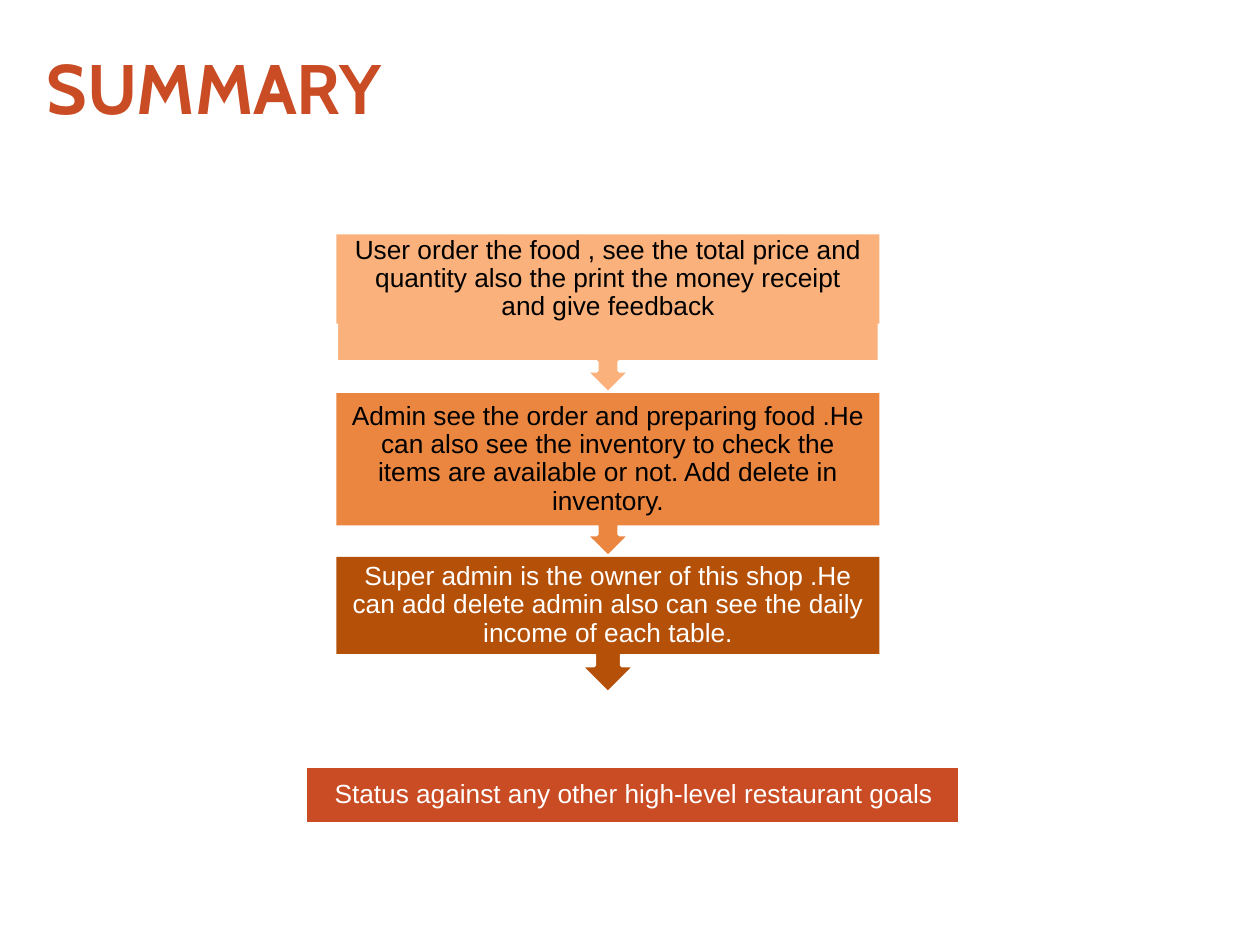
from pptx import Presentation
from pptx.dml.color import RGBColor
from pptx.enum.shapes import MSO_SHAPE
from pptx.enum.text import MSO_ANCHOR, MSO_AUTO_SIZE, PP_ALIGN
from pptx.util import Inches, Pt

RECT, CALLOUT = MSO_SHAPE.RECTANGLE, MSO_SHAPE.UP_ARROW_CALLOUT
MIDDLE, NO_FIT = MSO_ANCHOR.MIDDLE, MSO_AUTO_SIZE.NONE
LEFT, CENTER = PP_ALIGN.LEFT, PP_ALIGN.CENTER

COLORS = {
    "red": "C94C25", "peach": "FAB17B", "orange": "EA8640",
    "brown": "B45007", "black": "000000", "white": "FFFFFF",
}
TITLE = "SUMMARY"
STEPS = [
    {"text": "User order the food , see the total price and quantity also the print "
             "the money receipt and give feedback",
     "fill": "peach", "color": "black", "box": (1.86, 0.71), "arrow": (2.41, 0.71)},
    {"text": "Admin see the order and preparing food .He can also see the inventory "
             "to check the items are available or not. Add delete in inventory.",
     "fill": "orange", "color": "black", "box": (3.12, 1.05), "arrow": (3.71, 0.71)},
    {"text": "Super admin is the owner of this shop .He can add delete admin also "
             "can see the daily income of each table.",
     "fill": "brown", "color": "white", "box": (4.42, 0.77), "arrow": (4.63, 0.87)},
]
GOAL = "Status against any other high-level restaurant goals"
STEP_LEFT, STEP_WIDTH = 2.67, 4.31
GOAL_BOX = (2.42, 6.08, 5.2, 0.46)
GOAL_INSET = 0.11


def rgb(name):
    return RGBColor.from_string(COLORS[name])


def put_text(sp, text, *, size, font, color, bold=False, align=CENTER,
             margins=(0.12, 0.12, 0.12, 0.12), spacing=0.9, after=5.25):
    tf = sp.text_frame
    tf.word_wrap = True
    tf.auto_size = NO_FIT
    tf.vertical_anchor = MIDDLE
    tf.margin_left, tf.margin_top, tf.margin_right, tf.margin_bottom = map(Inches, margins)
    p = tf.paragraphs[0]
    p.alignment = align
    p.line_spacing = spacing
    p.space_after = Pt(after)
    r = p.add_run()
    r.text = text
    r.font.size = Pt(size)
    r.font.name = font
    r.font.bold = bold
    r.font.color.rgb = rgb(color)


def add_block(s, kind, box, fill, outlined=False):
    sp = s.shapes.add_shape(kind, *map(Inches, box))
    sp.shadow.inherit = False
    sp.fill.solid()
    sp.fill.fore_color.rgb = rgb(fill)
    if outlined:
        sp.line.color.rgb = rgb("white")
        sp.line.width = Pt(2)
    else:
        sp.line.fill.background()
    return sp


def add_step(s, step):
    top, height = step["arrow"]
    arrow = add_block(s, CALLOUT, (STEP_LEFT, top, STEP_WIDTH, height), step["fill"], True)
    arrow.rotation = 180
    top, height = step["box"]
    sp = add_block(s, RECT, (STEP_LEFT, top, STEP_WIDTH, height), step["fill"])
    put_text(sp, step["text"], size=15, font="Arial", color=step["color"])


def add_goal(s):
    x, y, w, h = GOAL_BOX
    d = GOAL_INSET
    add_block(s, RECT, GOAL_BOX, "red", True)
    sp = add_block(s, RECT, (x + d, y + d, w - 2 * d + 0.02, h - 2 * d), "red")
    put_text(sp, GOAL, size=15, font="Arial", color="white")


def main():
    prs = Presentation()
    prs.slide_width, prs.slide_height = Inches(10), Inches(7.5)
    s = prs.slides.add_slide(prs.slide_layouts[5])
    title = s.shapes.title
    title.left, title.top, title.width, title.height = map(Inches, (0.17, 0.25, 5.33, 0.87))
    put_text(title, TITLE, size=40, font="Cabin", color="red", bold=True, align=LEFT,
             margins=(0.2, 0.05, 0, 0.05), spacing=1, after=0)
    for step in STEPS:
        add_step(s, step)
    add_goal(s)
    prs.save("out.pptx")


if __name__ == "__main__":
    main()
